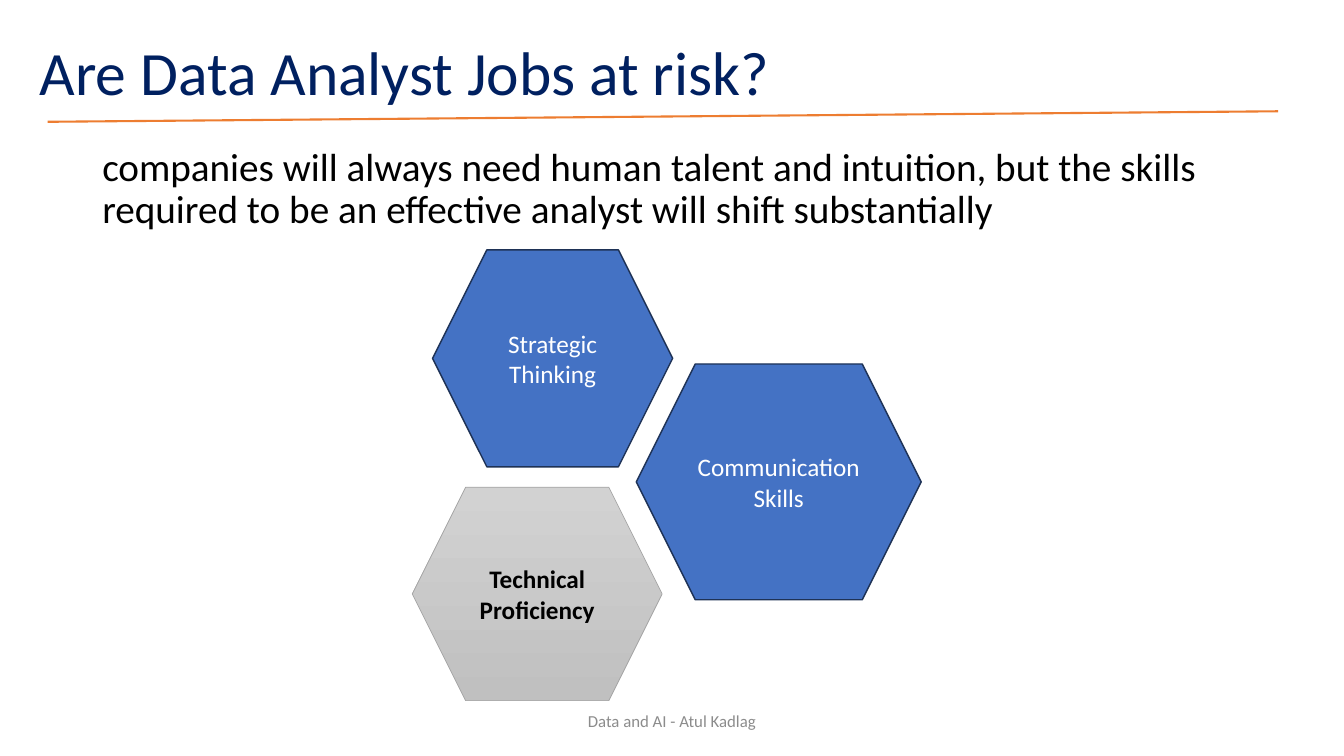
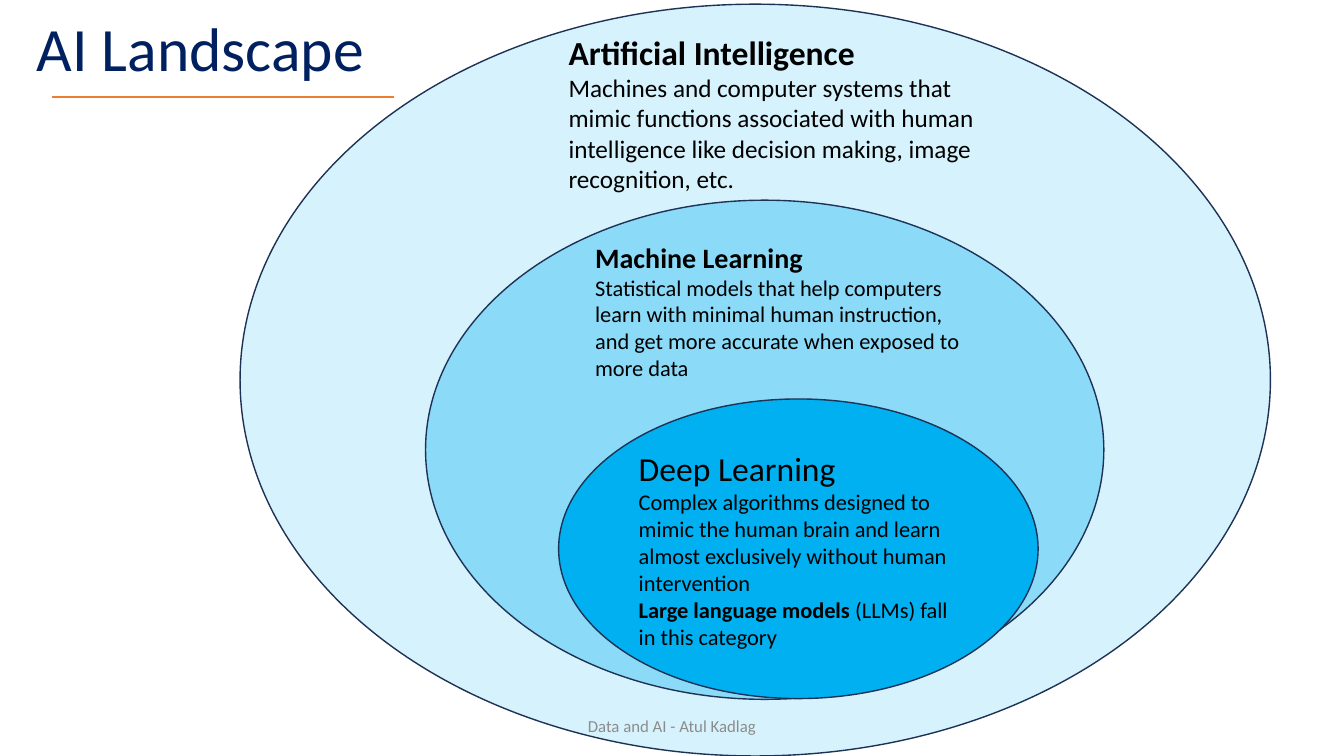
from lxml import etree
from pptx import Presentation
from pptx.dml.color import RGBColor
from pptx.enum.shapes import MSO_CONNECTOR, MSO_SHAPE
from pptx.enum.text import MSO_ANCHOR, MSO_AUTO_SIZE, PP_ALIGN
from pptx.oxml.ns import qn
from pptx.util import Pt

HEXAGON, ELLIPSE = MSO_SHAPE.HEXAGON, MSO_SHAPE.OVAL
STRAIGHT = MSO_CONNECTOR.STRAIGHT
LEFT, CENTER = PP_ALIGN.LEFT, PP_ALIGN.CENTER
TOP, MIDDLE = MSO_ANCHOR.TOP, MSO_ANCHOR.MIDDLE
NO_FIT = MSO_AUTO_SIZE.NONE

FONT = "Calibri"
NAVY, ORANGE, OUTLINE = "002060", "ED7D31", "1E3256"
BLUE, CYAN = "4472C4", "00B0F0"
BLACK, WHITE, GREY = "000000", "FFFFFF", "8C8C8C"
SILVER, SILVER_LINE = ("D2D2D2", "C0C0C0"), "A5A5A5"
FOOTER = "Data and AI - Atul Kadlag"

JOBS = {
    "title": "Are Data Analyst Jobs at risk?",
    "title_box": (21, 1.5, 828, 104.5),
    "rule": (34, 87, 913, 79.5),
    "footer_top": 500.5,
}
MESSAGE = ("companies will always need human talent and intuition, but the skills "
           "required to be an effective analyst will shift substantially")
SKILLS = [
    ("Communication Skills", (454.5, 260, 203.5, 168.5), BLUE, OUTLINE, 1, WHITE, False),
    ("Technical Proficiency", (294.5, 348, 178.5, 152.5), SILVER, SILVER_LINE, 0.5, BLACK, True),
    ("Strategic Thinking", (309, 178.5, 171.5, 155), BLUE, OUTLINE, 1, WHITE, False),
]

LANDSCAPE = {
    "title": "AI Landscape",
    "title_box": (19, -5, 828, 84),
    "rule": (37.5, 69.5, 281.5, 69.5),
    "footer_top": 504,
}
FIELDS = [
    {"oval": (171.5, 3, 736, 537), "opacity": 16, "text_box": (399, 19.5, 311.5, 124),
     "paragraphs": [
         [("Artificial Intelligence", 24, True)],
         [("Machines and computer systems that mimic functions associated with human "
           "intelligence like decision making, image recognition, etc.", 18, False)]]},
    {"oval": (304, 143, 484.5, 356.5), "opacity": 35, "text_box": (418, 168, 276, 108.5),
     "paragraphs": [
         [("Machine Learning", 20, True)],
         [("Statistical models that help computers learn with minimal human instruction, "
           "and get more accurate when exposed to more data", 16, False)]]},
    {"oval": (399, 285, 342.5, 214), "opacity": 100, "text_box": None,
     "paragraphs": [
         [("Deep Learning", 24, False)],
         [("Complex algorithms designed to mimic the human brain and learn almost "
           "exclusively without human intervention", 16, False)],
         [("Large language models", 16, True), (" (LLMs) fall in this category", 16, False)]]},
]


def rgb(value):
    return RGBColor.from_string(value)


def points(box):
    return [Pt(v) for v in box]


def write(tf, paragraphs, size=18, color=BLACK, bold=False, align=LEFT,
          anchor=TOP, spacing=None, before=None):
    if isinstance(paragraphs, str):
        paragraphs = [[(paragraphs, size, bold)]]
    tf.word_wrap = True
    tf.auto_size = NO_FIT
    tf.vertical_anchor = anchor
    for i, runs in enumerate(paragraphs):
        p = tf.add_paragraph() if i else tf.paragraphs[0]
        p.alignment = align
        if spacing:
            p.line_spacing = spacing
        if before:
            p.space_before = Pt(before)
        for text, run_size, run_bold in runs:
            r = p.add_run()
            r.text = text
            r.font.name = FONT
            r.font.size = Pt(run_size)
            r.font.bold = run_bold
            r.font.color.rgb = rgb(color)


def add_text(s, box, paragraphs, **style):
    write(s.shapes.add_textbox(*points(box)).text_frame, paragraphs, **style)


def add_figure(s, kind, box, fill, line=OUTLINE, width=1, opacity=100):
    sp = s.shapes.add_shape(kind, *points(box))
    sp.shadow.inherit = False
    if isinstance(fill, tuple):
        sp.fill.gradient()
        sp.fill.gradient_angle = 270
        for stop, color in zip(sp.fill.gradient_stops, fill):
            stop.color.rgb = rgb(color)
    else:
        sp.fill.solid()
        sp.fill.fore_color.rgb = rgb(fill)
    if opacity < 100:
        color = sp._element.spPr.find(qn("a:solidFill"))[0]
        etree.SubElement(color, qn("a:alpha"), val=str(opacity * 1000))
    sp.line.color.rgb = rgb(line)
    sp.line.width = Pt(width)
    return sp


def add_slide(prs, page):
    s = prs.slides.add_slide(prs.slide_layouts[5])
    title = s.shapes.title
    title.left, title.top, title.width, title.height = points(page["title_box"])
    write(title.text_frame, page["title"], size=44, color=NAVY, anchor=MIDDLE, spacing=0.9)
    rule = s.shapes.add_connector(STRAIGHT, *points(page["rule"]))
    rule.line.color.rgb = rgb(ORANGE)
    rule.line.width = Pt(1.5)
    etree.SubElement(rule._element.spPr, qn("a:effectLst"))
    return s


def add_footer(s, page):
    add_text(s, (318, page["footer_top"], 324, 29), FOOTER, size=12, color=GREY,
             align=CENTER, anchor=MIDDLE)


def build_jobs(prs):
    s = add_slide(prs, JOBS)
    add_text(s, (66, 102, 847, 70), MESSAGE, size=28, spacing=0.9, before=10)
    for text, box, fill, line, width, color, bold in SKILLS:
        sp = add_figure(s, HEXAGON, box, fill, line, width)
        write(sp.text_frame, text, color=color, bold=bold, align=CENTER, anchor=MIDDLE)
    add_footer(s, JOBS)


def build_landscape(prs):
    s = add_slide(prs, LANDSCAPE)
    for field in FIELDS:
        sp = add_figure(s, ELLIPSE, field["oval"], CYAN, opacity=field["opacity"])
        if field["text_box"]:
            add_text(s, field["text_box"], field["paragraphs"])
        else:
            write(sp.text_frame, field["paragraphs"], anchor=MIDDLE)
    add_footer(s, LANDSCAPE)


def main():
    prs = Presentation()
    prs.slide_width, prs.slide_height = Pt(960), Pt(540)
    build_jobs(prs)
    build_landscape(prs)
    prs.save("out.pptx")


if __name__ == "__main__":
    main()
